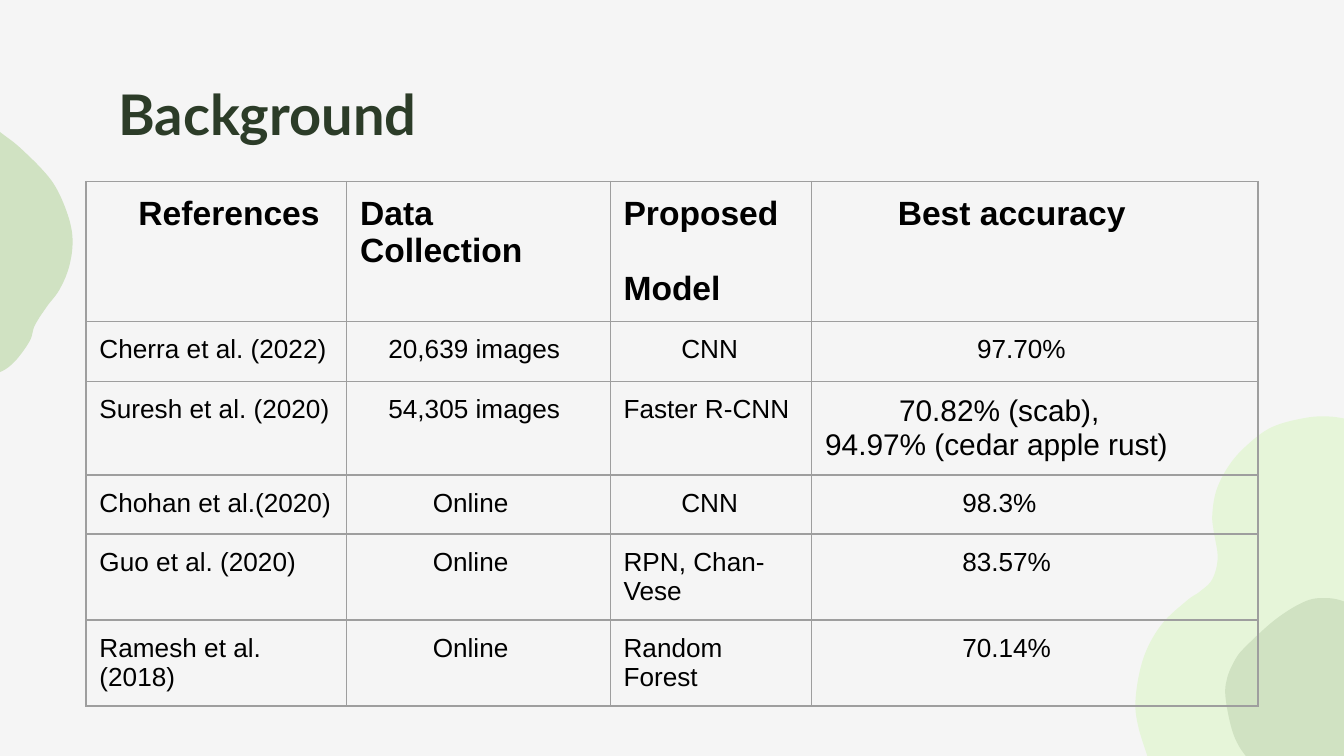
from lxml.etree import SubElement as Sub
from pptx import Presentation
from pptx.dml.color import RGBColor as RGB
from pptx.enum.text import MSO_ANCHOR as Anchor, PP_ALIGN as Align
from pptx.oxml.ns import qn
from pptx.util import Inches, Pt

HUES = {"back": "F5F5F5", "pale": "E6F5D9", "sage": "D0E2C2",
        "title": "2C3C28", "text": "000000", "rule": "9E9E9E"}

# Each cell: paragraphs as (indent in inches, text)
HEAD = [[(0.29, "References")], [(0, "Data Collection")],
        [(0, "Proposed"), (0, "Model")], [(0.54, "Best accuracy")]]
BODY = [
    [[(0, "Cherra et al. (2022)")], [(0.21, "20,639 images")],
     [(0.43, "CNN")], [(1.13, "97.70%")]],
    [[(0, "Suresh et al. (2020)")], [(0.21, "54,305 images")],
     [(0, "Faster R-CNN")],
     [(0.55, "70.82% (scab),"), (0, "94.97% (cedar apple rust)")]],
    [[(0, "Chohan et al.(2020)")], [(0.54, "Online")],
     [(0.43, "CNN")], [(1.02, "98.3%")]],
    [[(0, "Guo et al. (2020)")], [(0.54, "Online")],
     [(0, "RPN, Chan-Vese")], [(1.02, "83.57%")]],
    [[(0, "Ramesh et al.(2018)")], [(0.54, "Online")],
     [(0, "Random Forest")], [(1.02, "70.14%")]],
]
WIDTHS = [1.94, 1.96, 1.5, 3.32]
HEIGHTS = [1.04, 0.45, 0.69, 0.44, 0.64, 0.64]

# Each blob: colour, points on its curve, straight corners after the curve
BLOBS = [
    ("pale", [(8.57, 5.72), (8.47, 5.41), (8.45, 5.19), (8.51, 4.89),
              (8.64, 4.65), (8.83, 4.47), (8.93, 4.4), (9.02, 4.31),
              (9.06, 4.15), (9.03, 3.95), (9.02, 3.83), (9.05, 3.65),
              (9.14, 3.47), (9.27, 3.32), (9.46, 3.18), (9.71, 3.11),
              (9.9, 3.1), (10.08, 3.13)], [(10.08, 5.72)]),
    ("sage", [(10.23, 5.98), (10.45, 5.89), (10.56, 5.7), (10.73, 5.41),
              (10.75, 5.27), (10.68, 5.04), (10.49, 4.8), (10.22, 4.6),
              (10.01, 4.48), (9.85, 4.45), (9.7, 4.48), (9.49, 4.61),
              (9.27, 4.81), (9.19, 4.91), (9.13, 5.05), (9.12, 5.2),
              (9.18, 5.47), (9.29, 5.65), (9.46, 5.8), (9.74, 5.9),
              (10.04, 5.96)], []),
    ("sage", [(-0.81, 0.59), (-1.15, 0.7), (-1.46, 0.96), (-1.74, 1.26),
              (-1.84, 1.6), (-1.76, 2.08), (-1.56, 2.39), (-1.17, 2.65),
              (-0.68, 2.76), (-0.27, 2.83), (-0.03, 2.78), (0.1, 2.7),
              (0.22, 2.54), (0.26, 2.42), (0.35, 2.28), (0.44, 2.16),
              (0.51, 2), (0.54, 1.82), (0.52, 1.65), (0.44, 1.44),
              (0.34, 1.29), (0.15, 1.1), (0.01, 0.99), (-0.23, 0.81),
              (-0.54, 0.64)], []),
]


def hue(name):
    return RGB.from_string(HUES[name])


def smooth(pts, steps=8):
    """Run a Catmull-Rom curve through the points."""
    ends = [pts[0], *pts, pts[-1]]
    out = [pts[0]]
    for a, b, c, d in zip(ends, ends[1:], ends[2:], ends[3:]):
        for i in range(1, steps + 1):
            t = i / steps
            out.append(tuple(
                q + t * (r - p) / 2 + t**2 * (2*p - 5*q + 4*r - s) / 2
                + t**3 * (3*q - p - 3*r + s) / 2
                for p, q, r, s in zip(a, b, c, d)))
    return out


def write(para, text, size, bold, font, tint):
    run = para.add_run()
    run.text = text
    run.font.size, run.font.bold, run.font.name = Pt(size), bold, font
    run.font.color.rgb = hue(tint)


def pad(box):
    box.margin_left = box.margin_right = Inches(0.1)
    box.margin_top = box.margin_bottom = Inches(0.1)


def frame(cell):
    props = cell._tc.get_or_add_tcPr()
    for side in ("lnL", "lnR", "lnT", "lnB"):
        line = Sub(props, qn(f"a:{side}"), w=str(Pt(0.75)))
        Sub(Sub(line, qn("a:solidFill")), qn("a:srgbClr"), val=HUES["rule"])
    cell.fill.background()


# Wide 16:9 slide
deck = Presentation()
deck.slide_width = Inches(10)
deck.slide_height = Inches(10 * 9 / 16)
slide = deck.slides.add_slide(deck.slide_layouts[5])
slide.background.fill.solid()
slide.background.fill.fore_color.rgb = hue("back")

# Blobs at the edges
for tint, curve, tail in BLOBS:
    pts = [(Inches(x), Inches(y)) for x, y in smooth(curve) + tail]
    pen = slide.shapes.build_freeform(*pts[0])
    pen.add_line_segments(pts[1:], close=True)
    blob = pen.convert_to_shape()
    blob.shadow.inherit = False
    blob.fill.solid()
    blob.fill.fore_color.rgb = hue(tint)
    blob.line.fill.background()

# Title
title = slide.shapes.title
title.left, title.top = Inches(0.78), Inches(0.49)
title.width, title.height = Inches(8.44), Inches(0.63)
box = title.text_frame
pad(box)
box.word_wrap = True
box.vertical_anchor = Anchor.TOP
box.paragraphs[0].alignment = Align.LEFT
write(box.paragraphs[0], "Background", 30, True, "Lato", "title")

# Table
rows = [HEAD, *BODY]
table = slide.shapes.add_table(
    len(rows), len(WIDTHS), Inches(0.64), Inches(1.35),
    Inches(sum(WIDTHS)), Inches(sum(HEIGHTS))).table
table.first_row = table.horz_banding = False
for col, wide in zip(table.columns, WIDTHS):
    col.width = Inches(wide)
for r, (row, high) in enumerate(zip(rows, HEIGHTS)):
    table.rows[r].height = Inches(high)
    top = r == 0
    for c, lines in enumerate(row):
        cell = table.cell(r, c)
        pad(cell)
        frame(cell)
        size = 18 if top else 16 if len(lines) > 1 else 14
        for i, (dent, text) in enumerate(lines):
            para = (cell.text_frame.add_paragraph() if i
                    else cell.text_frame.paragraphs[0])
            para._p.get_or_add_pPr().set("marL", str(Inches(dent)))
            if top and i:
                para.space_before = Pt(20)
            write(para, text, size, top, "Arial", "text")

deck.save("out.pptx")
